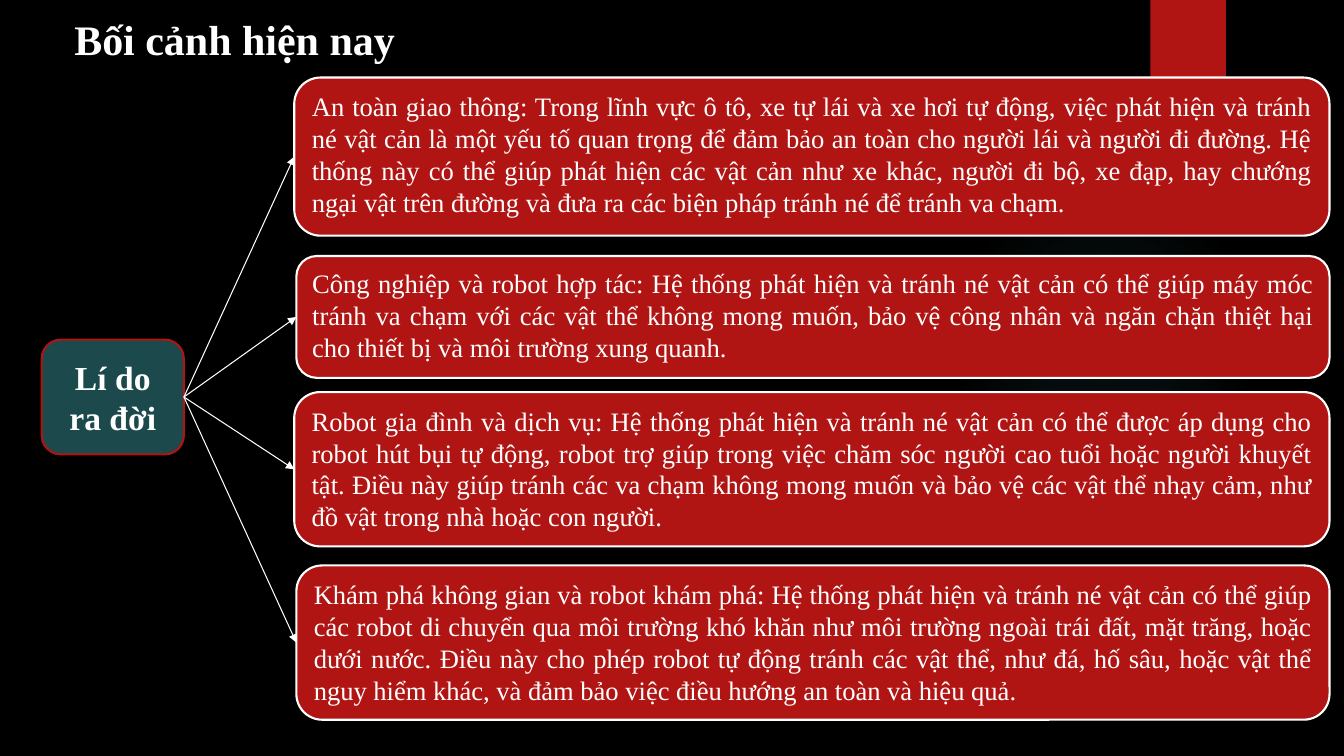
from dataclasses import dataclass

import lxml.etree
import pptx
import pptx.dml.color
import pptx.enum.shapes
import pptx.enum.text
import pptx.oxml
import pptx.oxml.ns
import pptx.util

Pt = pptx.util.Pt
SHAPE = pptx.enum.shapes.MSO_SHAPE
ALIGN = pptx.enum.text.PP_ALIGN
ANCHOR = pptx.enum.text.MSO_ANCHOR
qn = pptx.oxml.ns.qn


@dataclass(frozen=True)
class Theme:
    background: str = "000000"
    red: str = "B01513"
    teal: str = "1B494C"
    glow: str = "50B9C1"
    white: str = "FFFFFF"
    font: str = "Times New Roman"
    title_size: float = 30
    label_size: float = 24
    body_size: float = 19
    outline: float = 1.5
    arrow: float = 0.75


THEME = Theme()
RIGHT_EDGE = 949.7

# Each reason: left, top, height, text
REASONS = [
    (210.2, 55.4, 113, "An toàn giao thông: Trong lĩnh vực ô tô, xe tự lái và xe hơi tự động, việc phát hiện và tránh né vật cản là một yếu tố quan trọng để đảm bảo an toàn cho người lái và người đi đường. Hệ thống này có thể giúp phát hiện các vật cản như xe khác, người đi bộ, xe đạp, hay chướng ngại vật trên đường và đưa ra các biện pháp tránh né để tránh va chạm."),
    (211.7, 182.9, 87, "Công nghiệp và robot hợp tác: Hệ thống phát hiện và tránh né vật cản có thể giúp máy móc tránh va chạm với các vật thể không mong muốn, bảo vệ công nhân và ngăn chặn thiệt hại cho thiết bị và môi trường xung quanh."),
    (210.2, 280.1, 110.2, "Robot gia đình và dịch vụ: Hệ thống phát hiện và tránh né vật cản có thể được áp dụng cho robot hút bụi tự động, robot trợ giúp trong việc chăm sóc người cao tuổi hoặc người khuyết tật. Điều này giúp tránh các va chạm không mong muốn và bảo vệ các vật thể nhạy cảm, như đồ vật trong nhà hoặc con người."),
    (211.7, 403.9, 110.2, "Khám phá không gian và robot khám phá: Hệ thống phát hiện và tránh né vật cản có thể giúp các robot di chuyển qua môi trường khó khăn như môi trường ngoài trái đất, mặt trăng, hoặc dưới nước. Điều này cho phép robot tự động tránh các vật thể, như đá, hố sâu, hoặc vật thể nguy hiểm khác, và đảm bảo việc điều hướng an toàn và hiệu quả."),
]


def color(value):
    return pptx.dml.color.RGBColor.from_string(value)


def write_text(shape, text, *, size, bold=False, align=ALIGN.LEFT,
               anchor=ANCHOR.TOP):
    frame = shape.text_frame
    frame.word_wrap = True
    frame.vertical_anchor = anchor
    paragraph = frame.paragraphs[0]
    paragraph.text = text
    paragraph.alignment = align
    paragraph.font.name = THEME.font
    paragraph.font.size = Pt(size)
    paragraph.font.bold = bold
    paragraph.font.color.rgb = color(THEME.white)


def add_box(slide, kind, box, fill, line=None):
    shape = slide.shapes.add_shape(kind, *map(Pt, box))
    shape.shadow.inherit = False
    shape.fill.solid()
    shape.fill.fore_color.rgb = color(fill)
    if line:
        shape.line.color.rgb = color(line)
        shape.line.width = Pt(THEME.outline)
    else:
        shape.line.fill.background()
    return shape


def add_glow(slide, box):
    """Faint radial glow that fades towards its rim."""
    shape = add_box(slide, SHAPE.OVAL, box, THEME.glow)
    stops = "".join(
        f'<a:gs pos="{position * 1000}"><a:srgbClr val="{THEME.glow}">'
        f'<a:alpha val="{alpha * 1000}"/></a:srgbClr></a:gs>'
        for position, alpha in [(0, 7), (36, 6), (69, 0)])
    gradient = pptx.oxml.parse_xml(
        f'<a:gradFill {pptx.oxml.ns.nsdecls("a")}><a:gsLst>{stops}</a:gsLst>'
        '<a:path path="circle"><a:fillToRect l="50000" t="50000" r="50000" '
        'b="50000"/></a:path></a:gradFill>')
    properties = shape.element.spPr
    properties.replace(properties.find(qn("a:solidFill")), gradient)


def add_title(slide, box, text):
    shape = slide.shapes.add_textbox(*map(Pt, box))
    write_text(shape, text, size=THEME.title_size, bold=True)


def add_arrow(slide, source, target):
    """Arrow from the right side of source to the left side of target."""
    connector = slide.shapes.add_connector(
        pptx.enum.shapes.MSO_CONNECTOR.STRAIGHT, 0, 0, 0, 0)
    connector.begin_connect(source, 3)
    connector.end_connect(target, 1)
    connector.line.color.rgb = color(THEME.white)
    connector.line.width = Pt(THEME.arrow)
    line = connector.line._get_or_add_ln()
    lxml.etree.SubElement(line, qn("a:tailEnd"), type="triangle")
    lxml.etree.SubElement(connector.element.spPr, qn("a:effectLst"))


def add_reason_map(slide, label_box, label_text):
    label = add_box(slide, SHAPE.ROUNDED_RECTANGLE, label_box, THEME.teal, THEME.red)
    write_text(label, label_text, size=THEME.label_size, bold=True,
               align=ALIGN.CENTER, anchor=ANCHOR.MIDDLE)
    for left, top, height, text in REASONS:
        card = add_box(slide, SHAPE.ROUNDED_RECTANGLE,
                       (left, top, RIGHT_EDGE - left, height), THEME.red, THEME.white)
        write_text(card, text, size=THEME.body_size, align=ALIGN.JUSTIFY)
        add_arrow(slide, label, card)


def main():
    presentation = pptx.Presentation()
    presentation.slide_width, presentation.slide_height = Pt(960), Pt(540)
    slide = presentation.slides.add_slide(presentation.slide_layouts[6])
    slide.background.fill.solid()
    slide.background.fill.fore_color.rgb = color(THEME.background)

    # Backdrop
    add_glow(slide, (677.5, 131.8, 221.8, 221.8))
    add_box(slide, SHAPE.RECTANGLE, (821.7, 0, 54, 90), THEME.red)

    # Content
    add_title(slide, (46, 6, 260, 55), "Bối cảnh hiện nay")
    add_reason_map(slide, (29.8, 242.6, 101.6, 82), "Lí do ra đời")
    presentation.save("out.pptx")


if __name__ == "__main__":
    main()
